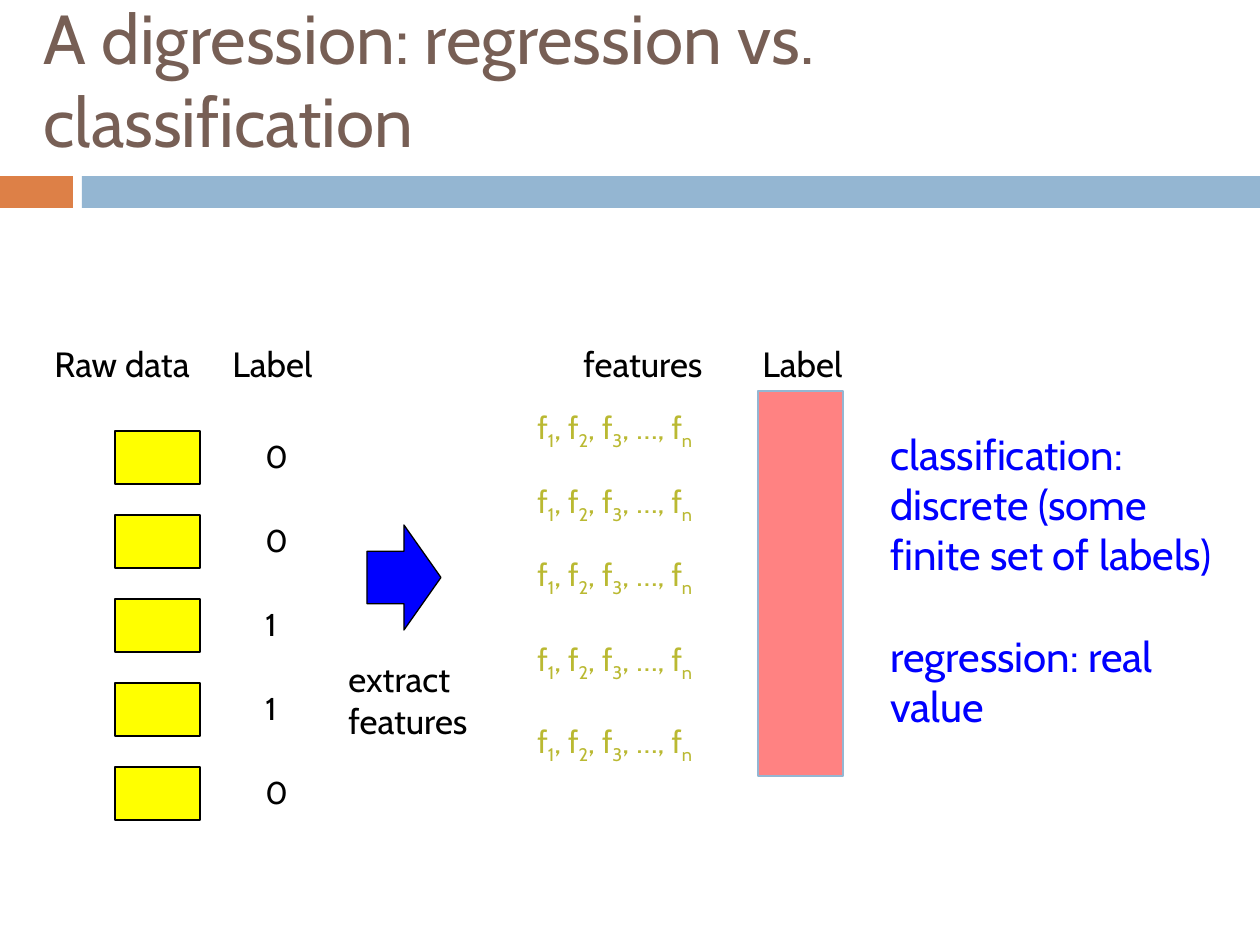
from lxml import etree
from pptx import Presentation, util as u
from pptx.dml.color import RGBColor
from pptx.enum import shapes, text
from pptx.oxml.ns import qn

PX = u.Inches(1) / 126
FONT = "Cabin"
COLORS = {"title": "775F55", "orange": "DD8047", "band": "94B6D2", "ink": "000000",
          "data": "FFFF00", "blue": "0000FF", "feature": "BAB932", "label": "FF0000"}

TITLE = "A digression: regression vs. classification"
HEADINGS = [("Raw data", 42, 175), ("Label", 220, 112),
            ("features", 571, 154), ("Label", 750, 112)]
LABELS = ["0", "0", "1", "1", "0"]
STEP = ["extract", "features"]
FEATURES = [("f", "1"), (", f", "2"), (", f", "3"), (", …, f", "n")]
FEATURE_TOPS = [402, 476, 549, 634, 716]
DEFINITIONS = ["classification: discrete (some finite set of labels)",
               "regression: real value"]
ROW_TOP, ROW_PITCH = 431, 84

deck = Presentation()
deck.slide_width, deck.slide_height = u.Inches(10), u.Inches(7.5)
slide = deck.slides.add_slide(deck.slide_layouts[6])


def emu(*lengths):
    return [round(length * PX) for length in lengths]


def add_block(box, fill, line=None, width=0.75, kind=shapes.MSO_SHAPE.RECTANGLE):
    block = slide.shapes.add_shape(kind, *emu(*box))
    block.shadow.inherit = False
    block.fill.solid()
    block.fill.fore_color.rgb = RGBColor.from_string(COLORS[fill])
    if line:
        block.line.color.rgb = RGBColor.from_string(COLORS[line])
        block.line.width = u.Pt(width)
    else:
        block.line.fill.background()
    return block


def style(run, size, color):
    run.font.name, run.font.size = FONT, u.Pt(size)
    run.font.color.rgb = RGBColor.from_string(COLORS[color])


def add_text(box, lines, size, color="ink", wrap=False, gap=0):
    """Add one paragraph per line, with gap points between them."""
    frame = slide.shapes.add_textbox(*emu(*box)).text_frame
    frame.word_wrap = wrap
    frame.auto_size = text.MSO_AUTO_SIZE.SHAPE_TO_FIT_TEXT
    frame.text = "\n".join(lines)
    for index, paragraph in enumerate(frame.paragraphs):
        if index and gap:
            paragraph.space_before = u.Pt(gap)
        for run in paragraph.runs:
            style(run, size, color)
    return frame


def add_features(top):
    paragraph = add_text((525, top, 210, 50), [], 18).paragraphs[0]
    for name, subscript in FEATURES:
        for part, baseline in ((name, 0), (subscript, -25000)):
            run = paragraph.add_run()
            run.text = part
            style(run, 18, "feature")
            if baseline:
                run.font._element.set("baseline", str(baseline))


add_block((0, 176, 73, 32), "orange")
add_block((82, 176, 1178, 32), "band")
title = add_text((31, 10, 1177, 136), [TITLE], 39.6, "title", wrap=True)
title.auto_size = text.MSO_AUTO_SIZE.NONE
title.vertical_anchor = text.MSO_ANCHOR.MIDDLE

for heading, left, width in HEADINGS:
    add_text((left, 336, width, 55), [heading], 20)

for row, label in enumerate(LABELS):
    top = ROW_TOP + row * ROW_PITCH
    add_block((115, top, 85, 53), "data", "ink")
    add_text((253, top, 43, 50), [label], 18)

add_block((367, 525, 74, 105), "blue", "ink", kind=shapes.MSO_SHAPE.RIGHT_ARROW)
add_text((336, 651, 155, 97), STEP, 20)

for top in FEATURE_TOPS:
    add_features(top)

label_column = add_block((758, 391, 85, 385), "label", "band", 0.79)
red = label_column._element.spPr.find(qn("a:solidFill"))[0]
etree.SubElement(red, qn("a:alpha")).set("val", "49000")

add_text((878, 422, 371, 318), DEFINITIONS, 24, "blue", wrap=True, gap=29)

deck.save("out.pptx")
